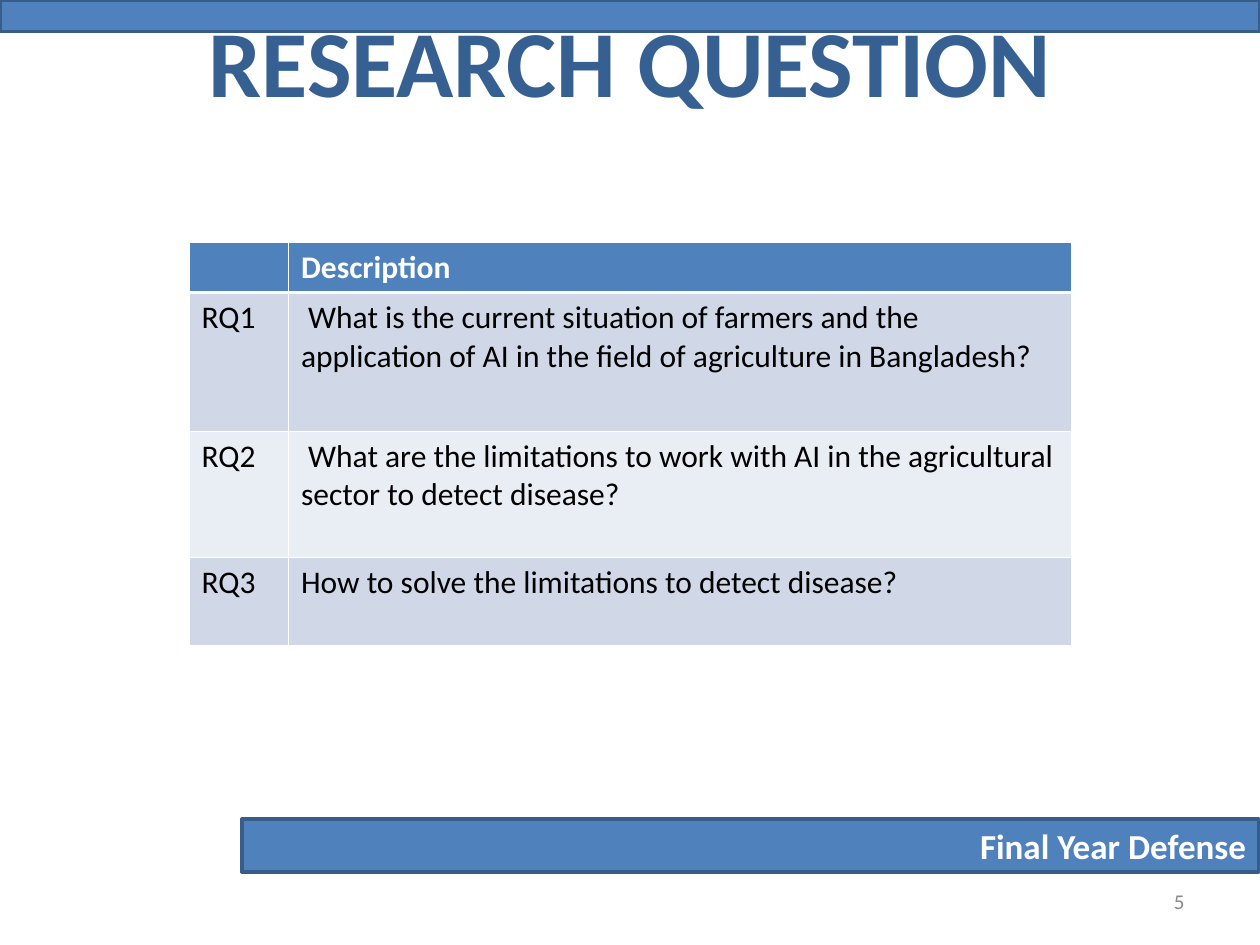
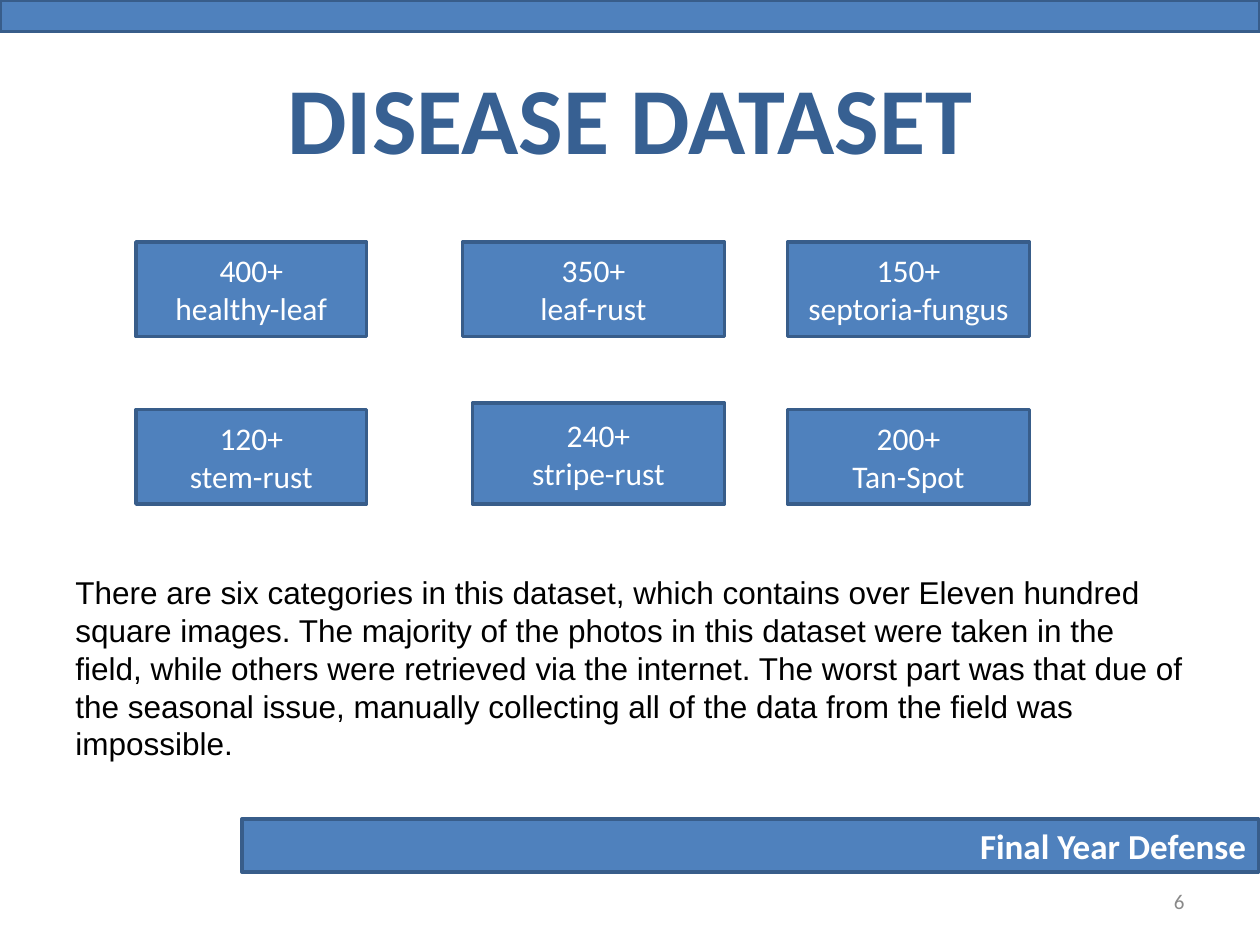
from dataclasses import dataclass

import lxml.etree
import pptx
import pptx.dml.color
import pptx.enum.shapes
import pptx.enum.text
import pptx.oxml
import pptx.oxml.ns
import pptx.util
from pptx.util import Inches

BLUE = "4F81BD"
OUTLINE = "385D8A"
TITLE_BLUE = "376092"
WHITE = "FFFFFF"
BLACK = "000000"
GREY = "898989"
STRIPES = ("D0D8E8", "E9EDF4")

ALIGN = pptx.enum.text.PP_ALIGN
MIDDLE = pptx.enum.text.MSO_ANCHOR.MIDDLE


@dataclass(frozen=True)
class Area:
    left: float
    top: float
    width: float
    height: float

    def lengths(self) -> tuple:
        return tuple(Inches(n) for n in (self.left, self.top, self.width, self.height))


@dataclass(frozen=True)
class TextStyle:
    size: float
    color: str
    bold: bool = False
    font: str = "Calibri"
    align: ALIGN = ALIGN.LEFT


@dataclass(frozen=True)
class Category:
    count: str
    name: str
    area: Area


TITLE = TextStyle(54, TITLE_BLUE, bold=True, align=ALIGN.CENTER)
FOOTER = TextStyle(20, WHITE, bold=True, align=ALIGN.RIGHT)
PAGE_NUMBER = TextStyle(12, GREY, align=ALIGN.RIGHT)
HEADER_CELL = TextStyle(18, WHITE, bold=True)
BODY_CELL = TextStyle(18, BLACK)
CATEGORY = TextStyle(18, WHITE, align=ALIGN.CENTER)
PARAGRAPH = TextStyle(18, BLACK, font="Arial")

TITLE_AREA = Area(0.5, 0.3, 9, 1.25)
TOP_BAND = Area(0, 0, 10, 0.25)
FOOTER_BAND = Area(1.92, 6.5, 8.07, 0.42)
PAGE_NUMBER_AREA = Area(7.17, 6.95, 2.33, 0.4)

TABLE_AREA = Area(1.5, 1.92, 7, 3.2)
COLUMN_WIDTHS = (0.79, 6.21)
ROW_HEIGHTS = (0.4, 1.1, 1, 0.7)
QUESTIONS = (
    ("", "Description"),
    ("RQ1", " What is the current situation of farmers and the application of AI "
            "in the field of agriculture in Bangladesh?"),
    ("RQ2", " What are the limitations to work with AI in the agricultural sector "
            "to detect disease?"),
    ("RQ3", "How to solve the limitations to detect disease?"),
)

CATEGORIES = (
    Category("400+", "healthy-leaf", Area(1.08, 1.92, 1.83, 0.75)),
    Category("350+", "leaf-rust", Area(3.67, 1.92, 2.08, 0.75)),
    Category("150+", "septoria-fungus", Area(6.25, 1.92, 1.92, 0.75)),
    Category("120+", "stem-rust", Area(1.08, 3.25, 1.83, 0.75)),
    Category("240+", "stripe-rust", Area(3.75, 3.2, 2, 0.8)),
    Category("200+", "Tan-Spot", Area(6.25, 3.25, 1.92, 0.75)),
)
DATASET_AREA = Area(0.5, 4.5, 9, 1.6)
DATASET_TEXT = (
    "There are six categories in this dataset, which contains over Eleven hundred "
    "square images. The majority of the photos in this dataset were taken in the "
    "field, while others were retrieved via the internet. The worst part was that "
    "due of the seasonal issue, manually collecting all of the data from the field "
    "was impossible."
)


def rgb(color: str) -> pptx.dml.color.RGBColor:
    return pptx.dml.color.RGBColor.from_string(color)


def write(frame, lines: tuple[str, ...], style: TextStyle) -> None:
    frame.word_wrap = True
    for index, line in enumerate(lines):
        paragraph = frame.add_paragraph() if index else frame.paragraphs[0]
        paragraph.alignment = style.align
        run = paragraph.add_run()
        run.text = line
        run.font.name = style.font
        run.font.size = pptx.util.Pt(style.size)
        run.font.bold = style.bold
        run.font.color.rgb = rgb(style.color)


def add_box(slide, area: Area, lines: tuple[str, ...] = (), style: TextStyle = CATEGORY) -> None:
    shape = slide.shapes.add_shape(
        pptx.enum.shapes.MSO_SHAPE.RECTANGLE, *area.lengths())
    shape.shadow.inherit = False
    shape.fill.solid()
    shape.fill.fore_color.rgb = rgb(BLUE)
    shape.line.color.rgb = rgb(OUTLINE)
    shape.line.width = pptx.util.Pt(2)
    shape.text_frame.vertical_anchor = MIDDLE
    write(shape.text_frame, lines, style)


def add_text(slide, area: Area, text: str, style: TextStyle, anchor=None) -> None:
    frame = slide.shapes.add_textbox(*area.lengths()).text_frame
    frame.vertical_anchor = anchor
    write(frame, (text,), style)


def add_title(slide, text: str, raised: bool) -> None:
    title = slide.shapes.title
    title.left, title.top, title.width, title.height = TITLE_AREA.lengths()
    frame = title.text_frame
    frame.auto_size = pptx.enum.text.MSO_AUTO_SIZE.NONE
    frame.vertical_anchor = MIDDLE
    frame.margin_left = frame.margin_right = frame.margin_top = frame.margin_bottom = 0
    write(frame, (text,), TITLE)
    if raised:
        paragraph = frame.paragraphs[0]
        paragraph.add_line_break()
        lxml.etree.SubElement(
            paragraph._p, pptx.oxml.ns.qn("a:endParaRPr"), sz=str(TITLE.size * 100))


def add_slide(presentation, title: str, number: int, raised: bool = False):
    slide = presentation.slides.add_slide(presentation.slide_layouts[5])
    add_box(slide, FOOTER_BAND, ("Final Year Defense",), FOOTER)
    add_box(slide, TOP_BAND)
    add_title(slide, title, raised)
    add_text(slide, PAGE_NUMBER_AREA, str(number), PAGE_NUMBER, MIDDLE)
    return slide


def set_borders(cell, widths: dict[str, float]) -> None:
    properties = cell._tc.get_or_add_tcPr()
    for side, width in widths.items():
        properties.append(pptx.oxml.parse_xml(
            f'<a:{side} {pptx.oxml.ns.nsdecls("a")} w="{pptx.util.Pt(width)}">'
            f'<a:solidFill><a:srgbClr val="{WHITE}"/></a:solidFill></a:{side}>'))


def add_question_table(slide) -> None:
    table = slide.shapes.add_table(
        len(ROW_HEIGHTS), len(COLUMN_WIDTHS), *TABLE_AREA.lengths()).table
    for column, width in zip(table.columns, COLUMN_WIDTHS):
        column.width = Inches(width)
    for row_index, (height, texts) in enumerate(zip(ROW_HEIGHTS, QUESTIONS)):
        table.rows[row_index].height = Inches(height)
        is_header = row_index == 0
        for column_index, text in enumerate(texts):
            cell = table.cell(row_index, column_index)
            set_borders(cell, {
                "lnL": 0.45,
                "lnR": 0.45,
                "lnT": 1.47 if row_index == 1 else 0.45,
                "lnB": 1.47 if is_header else 0.45,
            })
            cell.fill.solid()
            cell.fill.fore_color.rgb = rgb(BLUE if is_header else STRIPES[(row_index - 1) % 2])
            if text:
                write(cell.text_frame, (text,), HEADER_CELL if is_header else BODY_CELL)


def main() -> None:
    presentation = pptx.Presentation()
    presentation.slide_width = Inches(10)
    presentation.slide_height = Inches(7.5)

    question_slide = add_slide(presentation, "RESEARCH QUESTION", 5, raised=True)
    add_question_table(question_slide)

    dataset_slide = add_slide(presentation, "DISEASE DATASET", 6)
    for category in CATEGORIES:
        add_box(dataset_slide, category.area, (category.count, category.name))
    add_text(dataset_slide, DATASET_AREA, DATASET_TEXT, PARAGRAPH)

    presentation.save("out.pptx")


if __name__ == "__main__":
    main()
